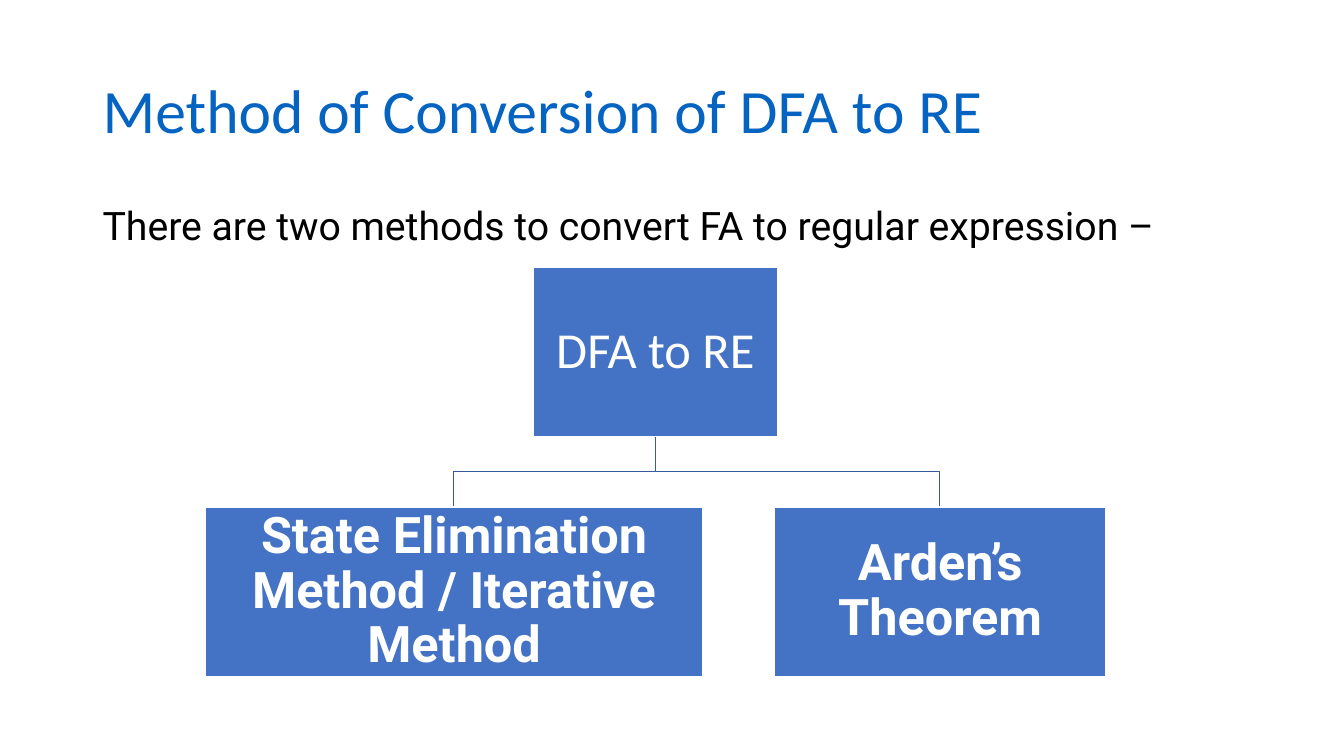
from pptx import Presentation, util as u
from pptx.dml.color import RGBColor
from pptx.enum import shapes, text

PX = 9144
HUE = {"title": "0563C1", "body": "000000", "node": "4472C4",
       "edge": "365B9D", "white": "FFFFFF"}


def rgb(key):
    return RGBColor.from_string(HUE[key])


def put(shape, words, size, font="Roboto", hue="white", bold=False,
        align=text.PP_ALIGN.LEFT, anchor=text.MSO_ANCHOR.MIDDLE, pad=(10, 5)):
    frame = shape.text_frame
    frame.word_wrap = True
    frame.vertical_anchor = anchor
    frame.margin_left = frame.margin_right = pad[0] * PX
    frame.margin_top = frame.margin_bottom = pad[1] * PX
    para = frame.paragraphs[0]
    para.alignment = align
    para.line_spacing = 0.9
    run = para.add_run()
    run.text = words
    run.font.size = u.Pt(size)
    run.font.name = font
    run.font.bold = bold
    run.font.color.rgb = rgb(hue)


def label(slide, box, words, size, **style):
    put(slide.shapes.add_textbox(*(n * PX for n in box)), words, size, **style)


def node(slide, box, words, **style):
    rect = slide.shapes.add_shape(shapes.MSO_SHAPE.RECTANGLE,
                                  *(n * PX for n in box))
    rect.shadow.inherit = False
    rect.fill.solid()
    rect.fill.fore_color.rgb = rgb("node")
    rect.line.color.rgb = rgb("white")
    rect.line.width = u.Pt(1)
    put(rect, words, 36, align=text.PP_ALIGN.CENTER, pad=(3, 3), **style)


def link(slide, start, end):
    mid = (start[1] + end[1]) // 2
    pen = slide.shapes.build_freeform(*start, scale=PX)
    pen.add_line_segments([(start[0], mid), (end[0], mid), end], close=False)
    edge = pen.convert_to_shape()
    edge.shadow.inherit = False
    edge.fill.background()
    edge.line.color.rgb = rgb("edge")
    edge.line.width = u.Pt(1)


def tree(slide, box, root, kids):
    left, top, width, height = box
    tall, wide, gap = 168, 242, 71
    low = top + height - tall
    spot, leaves = left, []
    for words, span in kids:
        leaves.append(((spot, low, span, tall), words))
        spot += span + gap
    hub = left + width // 2
    for (x, y, span, _), _ in reversed(leaves):
        link(slide, (hub, top + tall), (x + span // 2, y))
    node(slide, (hub - wide // 2, top, wide, tall), root, font="Calibri")
    for place, words in leaves:
        node(slide, place, words, bold=True)


def main():
    deck = Presentation()
    deck.slide_width, deck.slide_height = u.Inches(13.33), u.Inches(7.5)
    slide = deck.slides.add_slide(deck.slide_layouts[6])
    label(slide, (92, 40, 1150, 145), "Method of Conversion of DFA to RE", 44,
          font="Calibri", hue="title")
    label(slide, (92, 200, 1150, 476),
          "There are two methods to convert FA to regular expression –", 28,
          hue="body", anchor=text.MSO_ANCHOR.TOP)
    tree(slide, (204, 265, 893, 406), "DFA to RE",
         [("State Elimination Method / Iterative Method", 493),
          ("Arden’s Theorem", 329)])
    deck.save("out.pptx")


if __name__ == "__main__":
    main()
